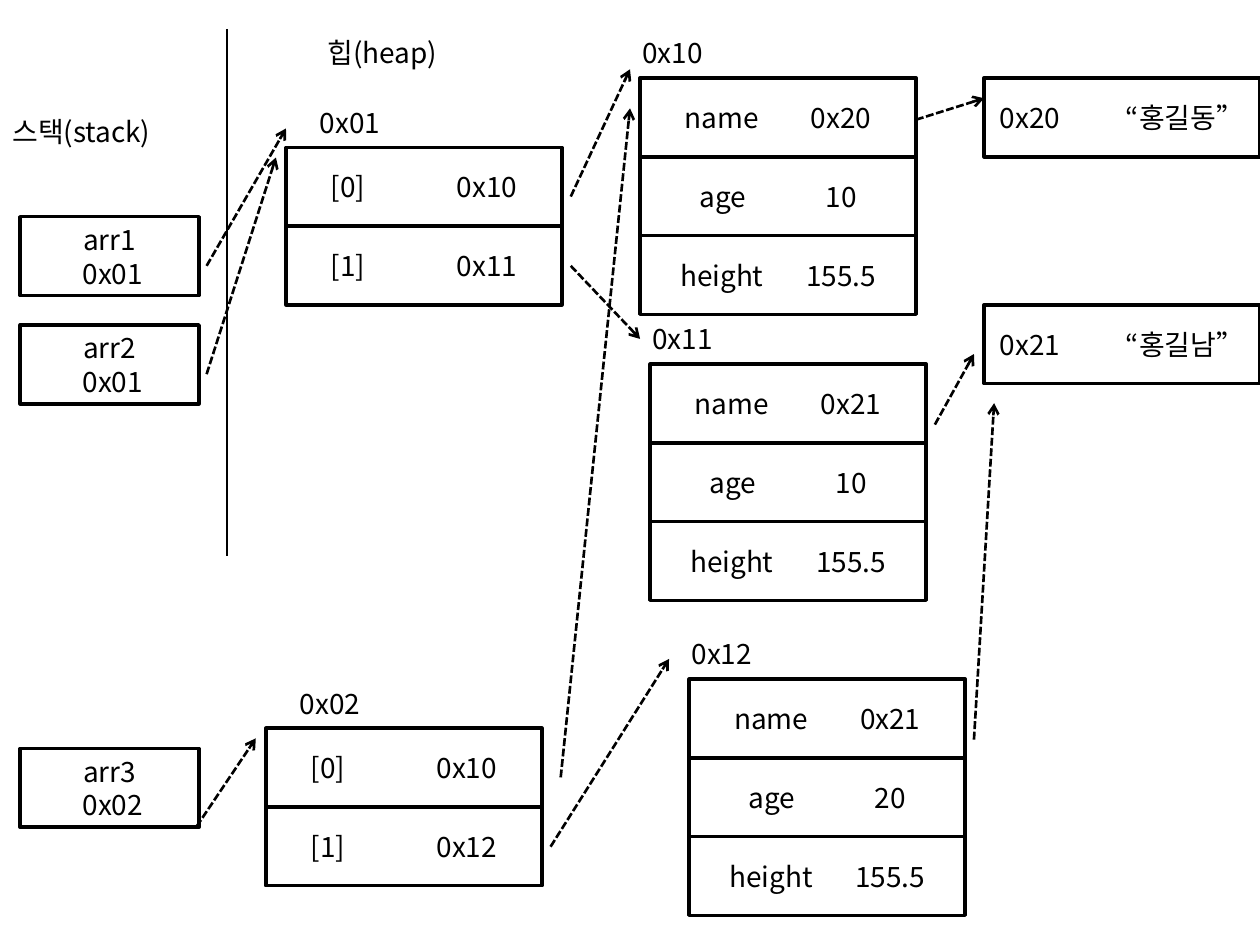
from lxml.etree import SubElement
from pptx import Presentation
from pptx.dml.color import RGBColor
from pptx.enum.dml import MSO_LINE
from pptx.enum.shapes import MSO_CONNECTOR, MSO_SHAPE
from pptx.enum.text import MSO_ANCHOR, MSO_AUTO_SIZE, PP_ALIGN
from pptx.oxml.ns import qn
from pptx.util import Inches, Pt

FONT = "Noto Sans CJK KR"
BLACK, WHITE = "000000", "FFFFFF"
ROW_HEIGHT = 5 / 8
TAB_WIDTH = 1


def set_color(color_format, value):
    color_format.rgb = RGBColor.from_string(value)


def write_text(shape, text, size=16, align=PP_ALIGN.LEFT, anchor=MSO_ANCHOR.TOP,
               auto_size=MSO_AUTO_SIZE.NONE):
    frame = shape.text_frame
    frame.word_wrap = True
    frame.auto_size = auto_size
    frame.vertical_anchor = anchor
    for index, line in enumerate(text.split("\n")):
        paragraph = frame.add_paragraph() if index else frame.paragraphs[0]
        paragraph.alignment = align
        paragraph._element.get_or_add_pPr().set("defTabSz", str(Inches(TAB_WIDTH)))
        run = paragraph.add_run()
        run.text = line
        run.font.size = Pt(size)
        run.font.name = FONT
        set_color(run.font.color, BLACK)
        SubElement(run.font._element, qn("a:ea"), typeface=FONT)


presentation = Presentation()
presentation.slide_width = Inches(10)
presentation.slide_height = Inches(7.5)
slide = presentation.slides.add_slide(presentation.slide_layouts[6])

# Area names and heap addresses: left, top, text
labels = [
    (0, 0.86, "스택(stack)"),
    (2.5, 0.23, "힙(heap)"),
    (2.44, 0.79, "0x01"),
    (2.28, 5.4, "0x02"),
    (5, 0.23, "0x10"),
    (5.08, 2.5, "0x11"),
    (5.39, 5, "0x12"),
]
for left, top, text in labels:
    label = slide.shapes.add_textbox(Inches(left), Inches(top), Inches(1.59), Inches(0.37))
    write_text(label, text, auto_size=MSO_AUTO_SIZE.SHAPE_TO_FIT_TEXT)

# Memory blocks: left, top, width, one text for each stacked cell
blocks = [
    # Stack variables
    (0.16, 1.72, 1.42, ["arr1\n 0x01"]),
    (0.16, 2.58, 1.42, ["arr2\n 0x01"]),
    (0.16, 5.94, 1.42, ["arr3\n 0x02"]),
    # Arrays
    (2.27, 1.17, 2.19, ["[0]\t0x10", "[1]\t0x11"]),
    (2.11, 5.78, 2.19, ["[0]\t0x10", "[1]\t0x12"]),
    # Objects
    (5.08, 0.62, 2.19, ["name\t0x20", "age\t10", "height\t155.5"]),
    (5.16, 2.89, 2.19, ["name\t0x21", "age\t10", "height\t155.5"]),
    (5.47, 5.39, 2.19, ["name\t0x21", "age\t20", "height\t155.5"]),
    # Strings
    (7.81, 0.62, 2.19, ["0x20\t“홍길동”"]),
    (7.81, 2.42, 2.19, ["0x21\t“홍길남”"]),
]
for left, top, width, cells in blocks:
    for row, text in enumerate(cells):
        cell = slide.shapes.add_shape(
            MSO_SHAPE.RECTANGLE, Inches(left), Inches(top + row * ROW_HEIGHT),
            Inches(width), Inches(ROW_HEIGHT))
        cell.shadow.inherit = False
        cell.fill.solid()
        set_color(cell.fill.fore_color, WHITE)
        set_color(cell.line.color, BLACK)
        cell.line.width = Pt(2)
        write_text(cell, text, align=PP_ALIGN.CENTER, anchor=MSO_ANCHOR.MIDDLE)

# Divider between stack and heap, then the reference arrows
divider = (1.8, 0.23, 1.8, 4.41)
references = [
    # Stack to arrays
    (1.64, 2.11, 2.27, 1.02),
    (1.64, 2.97, 2.19, 1.25),
    (1.56, 6.56, 2.03, 5.86),
    # Arrays to objects
    (4.53, 1.56, 5, 0.55),
    (4.53, 2.11, 5.08, 2.69),
    (4.45, 6.17, 5, 0.86),
    (4.37, 6.72, 5.31, 5.23),
    # Objects to strings
    (7.27, 0.95, 7.81, 0.78),
    (7.42, 3.37, 7.73, 2.81),
    (7.73, 5.87, 7.89, 3.2),
]
for ends in [divider, *references]:
    connector = slide.shapes.add_connector(
        MSO_CONNECTOR.STRAIGHT, *[Inches(value) for value in ends])
    set_color(connector.line.color, BLACK)
    connector.line.width = Pt(1.25)
    properties = connector._element.spPr
    if ends is not divider:
        connector.line.width = Pt(1.5)
        connector.line.dash_style = MSO_LINE.SQUARE_DOT
        SubElement(properties.find(qn("a:ln")), qn("a:tailEnd"), type="arrow")
    SubElement(properties, qn("a:effectLst"))

presentation.save("out.pptx")
